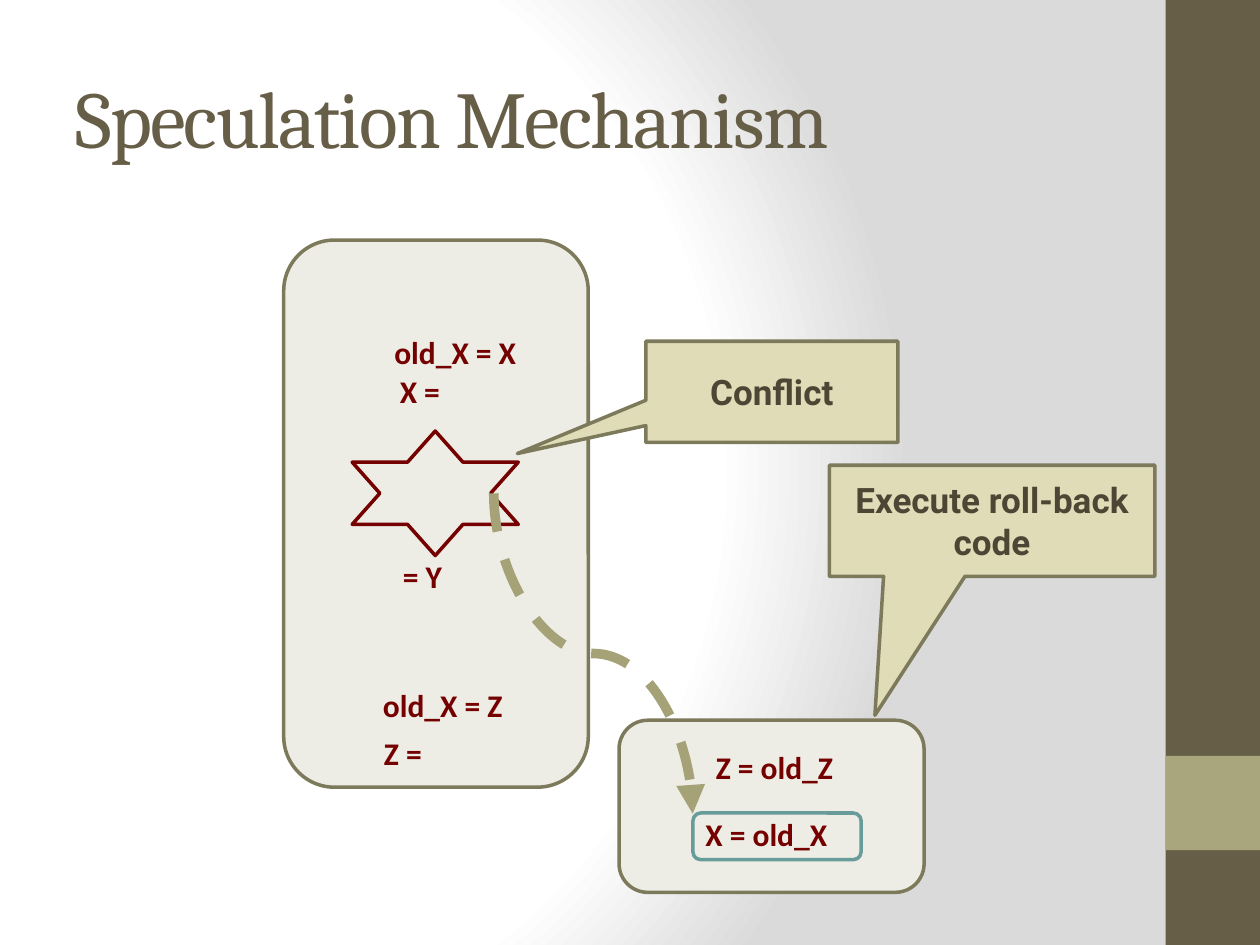
"""Build the Speculation Mechanism slide."""
from lxml import etree
from pptx import Presentation
from pptx import util as u
from pptx.dml.color import RGBColor
from pptx.enum import dml, shapes, text
from pptx.oxml import parse_xml
from pptx.oxml.ns import nsdecls, qn


def color(target, value):
    """Apply a hex colour to a fill or a font."""
    if hasattr(target, "solid"):
        target.solid()
        target.fore_color.rgb = RGBColor.from_string(value)
    else:
        target.color.rgb = RGBColor.from_string(value)


def write(shape, words, font, size, value, bold=True):
    """Put one styled paragraph in a shape and return it."""
    shape.text_frame.word_wrap = True
    paragraph = shape.text_frame.paragraphs[0]
    paragraph.text = words
    paragraph.font.name = font
    paragraph.font.size = u.Pt(size)
    paragraph.font.bold = bold
    color(paragraph.font, value)
    return paragraph


presentation = Presentation()
presentation.slide_width, presentation.slide_height = u.Cm(25.4), u.Cm(19.05)
slide = presentation.slides.add_slide(presentation.slide_layouts[6])

stops = "".join(
    f'<a:gs pos="{position}"><a:srgbClr val="{value}"/></a:gs>'
    for position, value in [(0, "FFFFFF"), (75000, "FFFFFF"), (100000, "DADADA")]
)
slide.background.fill.solid()
properties = slide.background._cSld.find(qn("p:bg")).find(qn("p:bgPr"))
properties.replace(properties[0], parse_xml(
    f'<a:gradFill {nsdecls("a")} rotWithShape="1"><a:gsLst>{stops}</a:gsLst>'
    '<a:path path="circle">'
    '<a:fillToRect l="20000" t="50000" r="100000" b="50000"/>'
    '</a:path></a:gradFill>'))

KIND = shapes.MSO_SHAPE
figures = []
for kind, box, fill, line in [
    (KIND.RECTANGLE, (23.5, 0, 1.9, 19.05), "675E47", None),
    (KIND.RECTANGLE, (23.5, 15.24, 1.9, 1.9), "A9A57C", None),
    (KIND.ROUNDED_RECTANGLE, (12.48, 14.52, 6.15, 3.47), "EEEDE5", "7D7A5C"),
    (KIND.ROUNDED_RECTANGLE, (5.72, 4.84, 6.14, 11.03), "EEEDE5", "7D7A5C"),
    (KIND.STAR_6_POINT, (7.1, 8.69, 3.35, 2.51), None, "740000"),
    (KIND.FLOWCHART_ALTERNATE_PROCESS, (13.97, 16.39, 3.39, 0.94), None, "689C9A"),
    (KIND.RECTANGULAR_CALLOUT, (13.02, 6.88, 5.08, 2.04), "DFDCB7", "7D7A5C"),
    (KIND.RECTANGULAR_CALLOUT, (16.72, 9.38, 6.56, 2.24), "DFDCB7", "7D7A5C"),
]:
    shape = slide.shapes.add_shape(kind, *map(u.Cm, box))
    shape.shadow.inherit = False
    if fill:
        color(shape.fill, fill)
    else:
        shape.fill.background()
    if line:
        color(shape.line.fill, line)
        shape.line.width = u.Pt(2)
    else:
        shape.line.fill.background()
    figures.append(shape)

for callout, words, tip in zip(
    figures[-2:],
    ["Conflict", "Execute roll-back code"],
    [(-1.01, 0.61), (-0.36, 1.75)],
):
    callout.adjustments[0], callout.adjustments[1] = tip
    callout.text_frame.vertical_anchor = text.MSO_ANCHOR.MIDDLE
    write(callout, words, "Roboto", 20, "4D4635").alignment = text.PP_ALIGN.CENTER

title = slide.shapes.add_textbox(*map(u.Cm, (1.27, 0.76, 21.16, 3.18)))
title.text_frame.vertical_anchor = text.MSO_ANCHOR.MIDDLE
heading = write(title, "Speculation Mechanism", "Cambria", 46, "675E47", False)
heading.font._rPr.set("spc", "-100")

for words, left, top, width in [
    ("Z = old_Z", 14.18, 14.96, 3.38),
    ("X = old_X", 13.97, 16.31, 3.6),
    ("X =", 7.81, 7.37, 1.7),
    ("= Y", 7.87, 11.1, 1.7),
    ("Z =", 7.49, 14.68, 1.7),
    ("old_X = X", 7.7, 6.58, 3.4),
    ("old_X = Z", 7.47, 13.71, 3.4),
]:
    statement = slide.shapes.add_textbox(*map(u.Cm, (left, top, width, 1.02)))
    write(statement, words, "Calibri", 18, "740000")

jump = slide.shapes.add_connector(
    shapes.MSO_CONNECTOR.CURVE, *map(u.Cm, (15.19, 11.17, 8.73, 15.18)))
color(jump.line.fill, "A6A278")
jump.line.width = u.Pt(5.5)
jump.line.dash_style = dml.MSO_LINE.DASH
jump_properties = jump._element.spPr
jump_properties.find(qn("a:xfrm")).set("rot", "16200000")
etree.SubElement(jump_properties.find(qn("a:ln")), qn("a:tailEnd"), type="triangle")
etree.SubElement(jump_properties, qn("a:effectLst"))

presentation.save("out.pptx")
